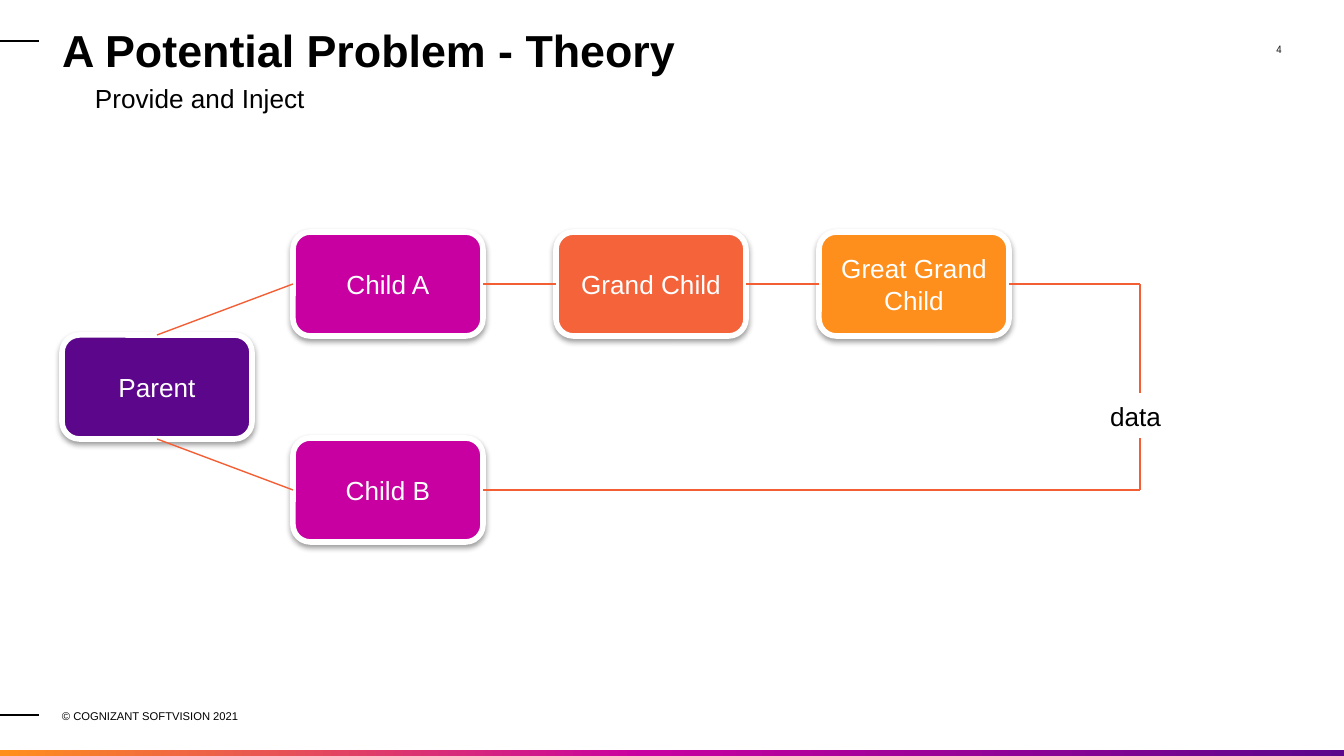
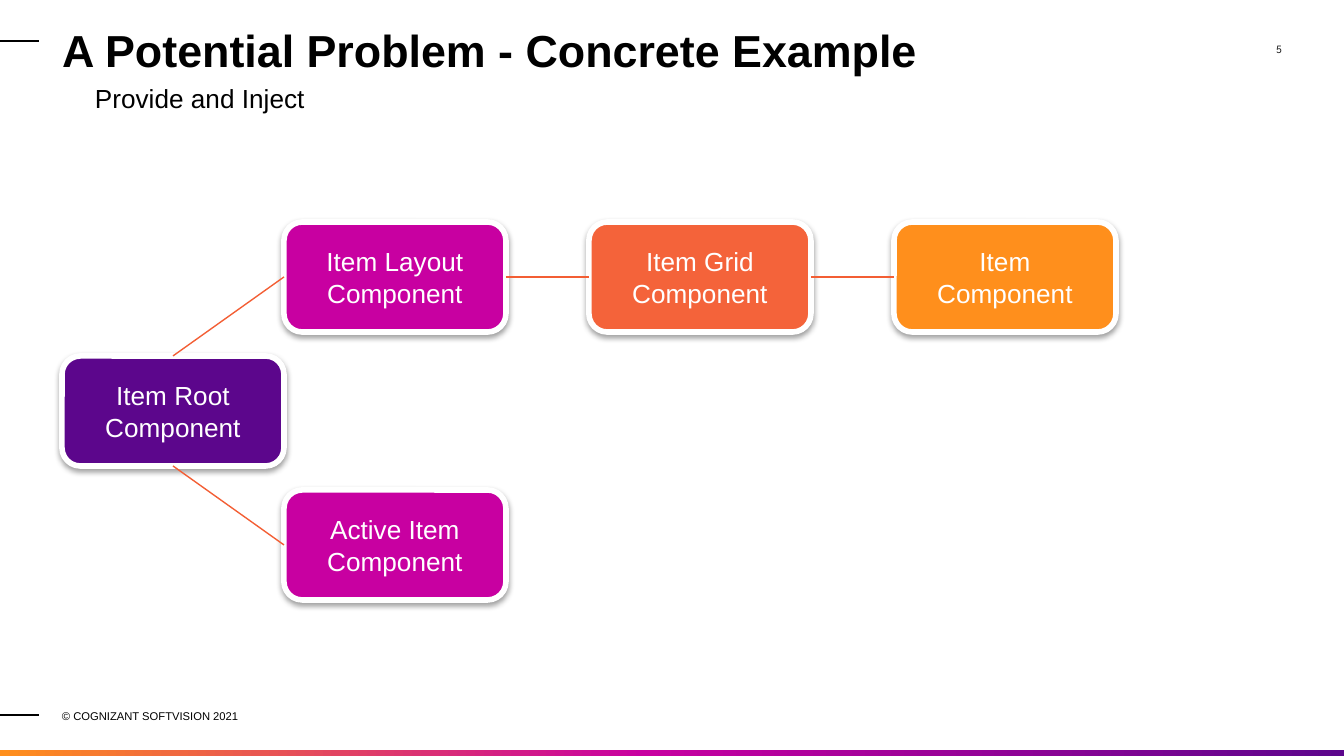
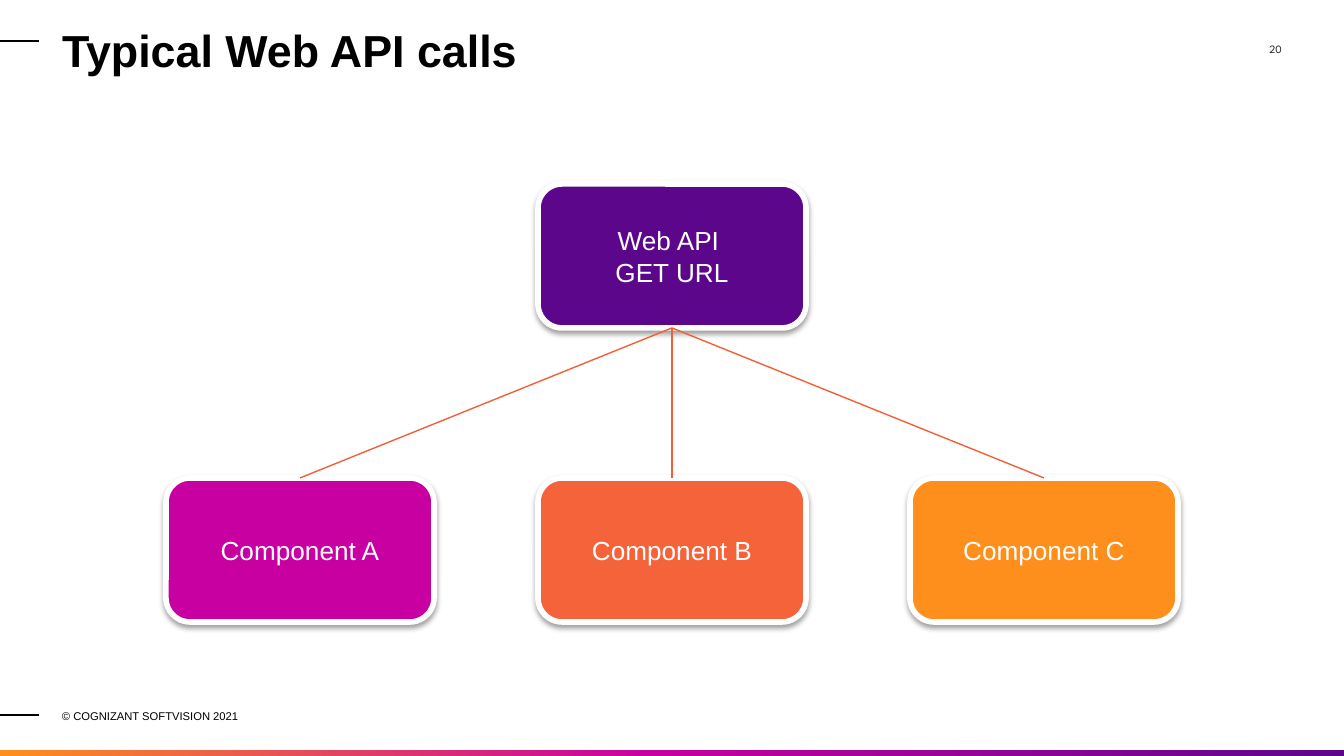
from lxml import etree
from pptx import Presentation
from pptx.dml.color import RGBColor
from pptx.enum import shapes, text
from pptx.oxml import parse_xml
from pptx.oxml.ns import nsdecls, qn
from pptx.util import Emu, Pt

SCALE = 914400 / 134.4
BLACK, WHITE, GREY = "000000", "FFFFFF", "212121"
PURPLE, PINK, CORAL, ORANGE = "5C068C", "C800A1", "F4633A", "FF8F1C"
WIRE = "F35E34"
TOP, LEFT, BOTTOM, RIGHT = range(4)
ALIGN = {"l": text.PP_ALIGN.LEFT, "c": text.PP_ALIGN.CENTER, "r": text.PP_ALIGN.RIGHT}
ANCHOR = {"t": text.MSO_ANCHOR.TOP, "m": text.MSO_ANCHOR.MIDDLE}


def px(*sizes):
    """Turn pixel lengths into EMU."""
    return [Emu(round(size * SCALE)) for size in sizes]


def hue(code):
    """Turn a hex string into a colour."""
    return RGBColor.from_string(code)


def write(shape, words, size=14, color=BLACK, font="Arial", bold=False,
          align="l", anchor="m", pad=(0, 0, 0, 0), indent=None):
    """Fill a shape with formatted text, one paragraph a line."""
    frame = shape.text_frame
    frame.word_wrap = True
    frame.vertical_anchor = ANCHOR[anchor]
    (frame.margin_left, frame.margin_top,
     frame.margin_right, frame.margin_bottom) = px(*pad)
    frame.text = words
    for para in frame.paragraphs:
        para.alignment = ALIGN[align]
        if indent:
            margin, first = px(*indent)
            props = para._p.get_or_add_pPr()
            props.set("marL", str(margin))
            props.set("indent", str(first))
        for run in para.runs:
            run.font.size, run.font.bold = Pt(size), bold
            run.font.name, run.font.color.rgb = font, hue(color)


def label(slide, box, words, **style):
    """Add a text box."""
    shape = slide.shapes.add_textbox(*px(*box))
    write(shape, words, **style)
    return shape


def line(slide, start, end, color=WIRE, width=0.75):
    """Draw a straight line between two points."""
    wire = slide.shapes.add_connector(shapes.MSO_CONNECTOR.STRAIGHT, *px(*start, *end))
    wire.line.color.rgb, wire.line.width = hue(color), Pt(width)
    etree.SubElement(wire._element.spPr, qn("a:effectLst"))
    return wire


def join(slide, one, side, two, face):
    """Link the sides of two shapes."""
    wire = line(slide, (0, 0), (0, 0))
    wire.begin_connect(one, side)
    wire.end_connect(two, face)


def node(slide, box, words, color):
    """Add a rounded box with a white rim and a soft shadow."""
    shape = slide.shapes.add_shape(shapes.MSO_SHAPE.ROUNDED_RECTANGLE, *px(*box))
    shape.fill.solid()
    shape.fill.fore_color.rgb = hue(color)
    shape.line.color.rgb, shape.line.width = hue(WHITE), Pt(3)
    shape._element.spPr.append(parse_xml(
        f'<a:effectLst {nsdecls("a")}><a:outerShdw blurRad="40000" dist="20000" '
        f'dir="5400000" rotWithShape="0"><a:srgbClr val="{BLACK}">'
        '<a:alpha val="38000"/></a:srgbClr></a:outerShdw></a:effectLst>'))
    write(shape, words, color=WHITE, align="c", pad=(13, 7, 13, 7))
    return shape


def band(slide, box):
    """Add the gradient strip along the bottom edge."""
    shape = slide.shapes.add_shape(shapes.MSO_SHAPE.RECTANGLE, *px(*box))
    shape.shadow.inherit = False
    shape.line.fill.background()
    shape.fill.gradient()
    shape.fill.gradient_angle = 180
    stops = shape._element.spPr.find(".//" + qn("a:gsLst"))
    stops.clear()
    for place, code in ((0, PURPLE), (52, PINK), (100, ORANGE)):
        stop = etree.SubElement(stops, qn("a:gs"), pos=str(place * 1000))
        etree.SubElement(stop, qn("a:srgbClr"), val=code)


def base(deck, number, title, topic=None):
    """Start a slide with its shared frame, title and topic."""
    slide = deck.slides.add_slide(deck.slide_layouts[6])
    label(slide, (1202, 42, 80, 58), number, size=6, color=GREY,
          font="League Spartan", align="r", anchor="t")
    label(slide, (62, 705, 298, 22), "© COGNIZANT SOFTVISION 2021", size=6)
    for y in (41, 715):
        line(slide, (0, y), (39, y), BLACK, 1.5)
    band(slide, (0, 750, 1344, 6))
    label(slide, (62, 26, 1078, 47), title, size=24, bold=True, pad=(0, 13, 13, 13))
    if topic:
        label(slide, (62, 79, 1220, 38), topic, indent=(67, -34))
    return slide


def tree(slide, box, shift, pitch, drop, root, chain, leaf):
    """Draw a root that forks into a chain above and a leaf below."""
    x, y, w, h = box
    stem = node(slide, (x, y + drop, w, h), root, PURPLE)
    row = [node(slide, (x + shift + i * pitch, y, w, h), words, color)
           for i, (words, color) in enumerate(zip(chain, (PINK, CORAL, ORANGE)))]
    low = node(slide, (x + shift, y + 2 * drop, w, h), leaf, PINK)
    join(slide, stem, TOP, row[0], LEFT)
    join(slide, stem, BOTTOM, low, LEFT)
    for one, two in zip(row, row[1:]):
        join(slide, one, RIGHT, two, LEFT)
    return row[-1], low


def loop(slide, box, ends):
    """Wire a data label to the far ends of a tree, given with their heights."""
    x, y, w, h = box
    data = label(slide, box, "data", anchor="t", pad=(13, 7, 13, 7))
    data.text_frame.auto_size = text.MSO_AUTO_SIZE.SHAPE_TO_FIT_TEXT
    for (end, level), side in zip(ends, (TOP, BOTTOM)):
        bend = (x + w // 2, level)
        line(slide, bend, bend).begin_connect(data, side)
        line(slide, bend, bend).end_connect(end, RIGHT)


def fan(slide, box, pitch, drop, root, leaves):
    """Draw a root above a row of leaves centred under it."""
    x, y, w, h = box
    stem = node(slide, box, root, PURPLE)
    for i, (words, color) in enumerate(zip(leaves, (PINK, CORAL, ORANGE))):
        leaf = node(slide, (x + (i - 1) * pitch, y + drop, w, h), words, color)
        join(slide, stem, BOTTOM, leaf, TOP)


def main():
    """Build the deck."""
    deck = Presentation()
    deck.slide_width, deck.slide_height = px(1344, 756)
    topic = "Provide and Inject"

    slide = base(deck, "4", "A Potential Problem - Theory", topic)
    top, low = tree(slide, (62, 232, 190, 104), 231, 263, 103, "Parent",
                    ("Child A", "Grand Child", "Great Grand Child"), "Child B")
    loop(slide, (1097, 393, 86, 45), ((top, 284), (low, 490)))

    slide = base(deck, "5", "A Potential Problem - Concrete Example", topic)
    tree(slide, (62, 222, 222, 110), 222, 305, 134, "Item Root Component",
         ("Item Layout Component", "Item Grid Component", "Item Component"),
         "Active Item Component")

    slide = base(deck, "20", "Typical Web API calls")
    fan(slide, (538, 184, 268, 144), 372, 294, "Web API \nGET URL",
        ("Component A", "Component B", "Component C"))
    deck.save("out.pptx")


if __name__ == "__main__":
    main()
